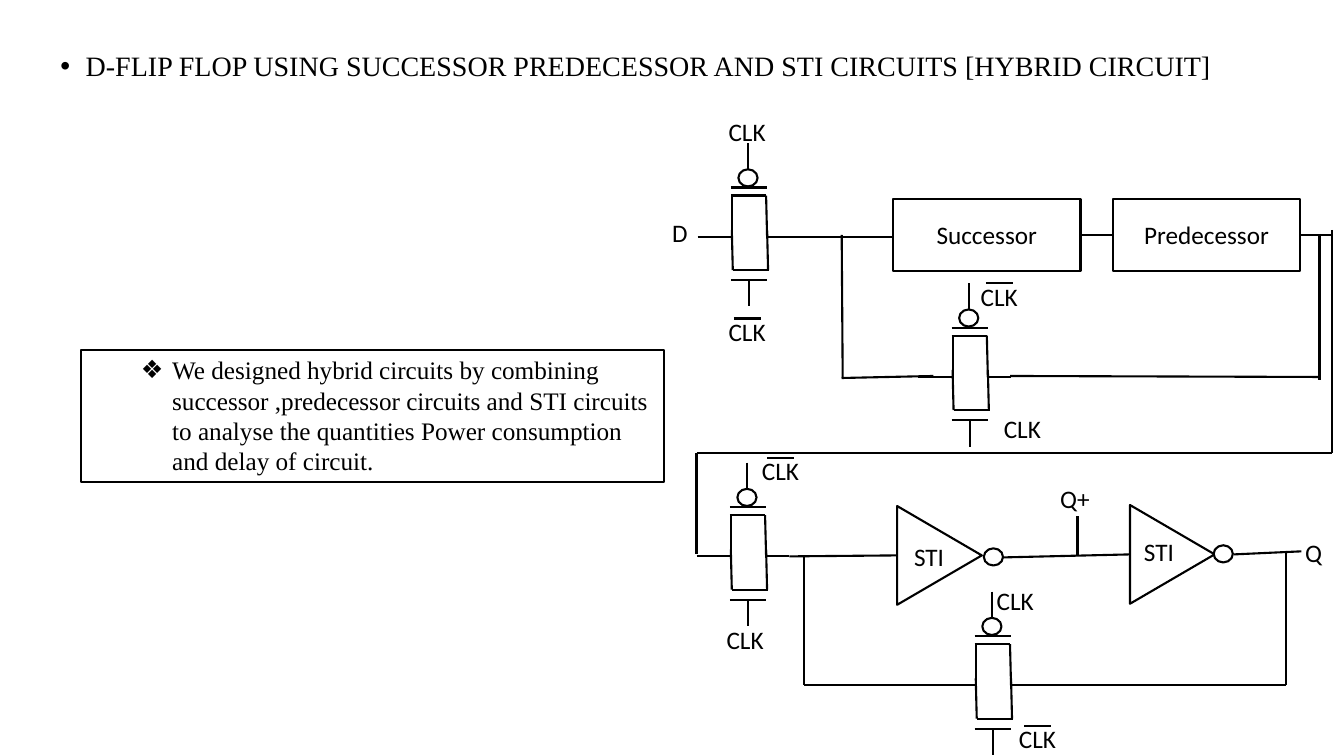
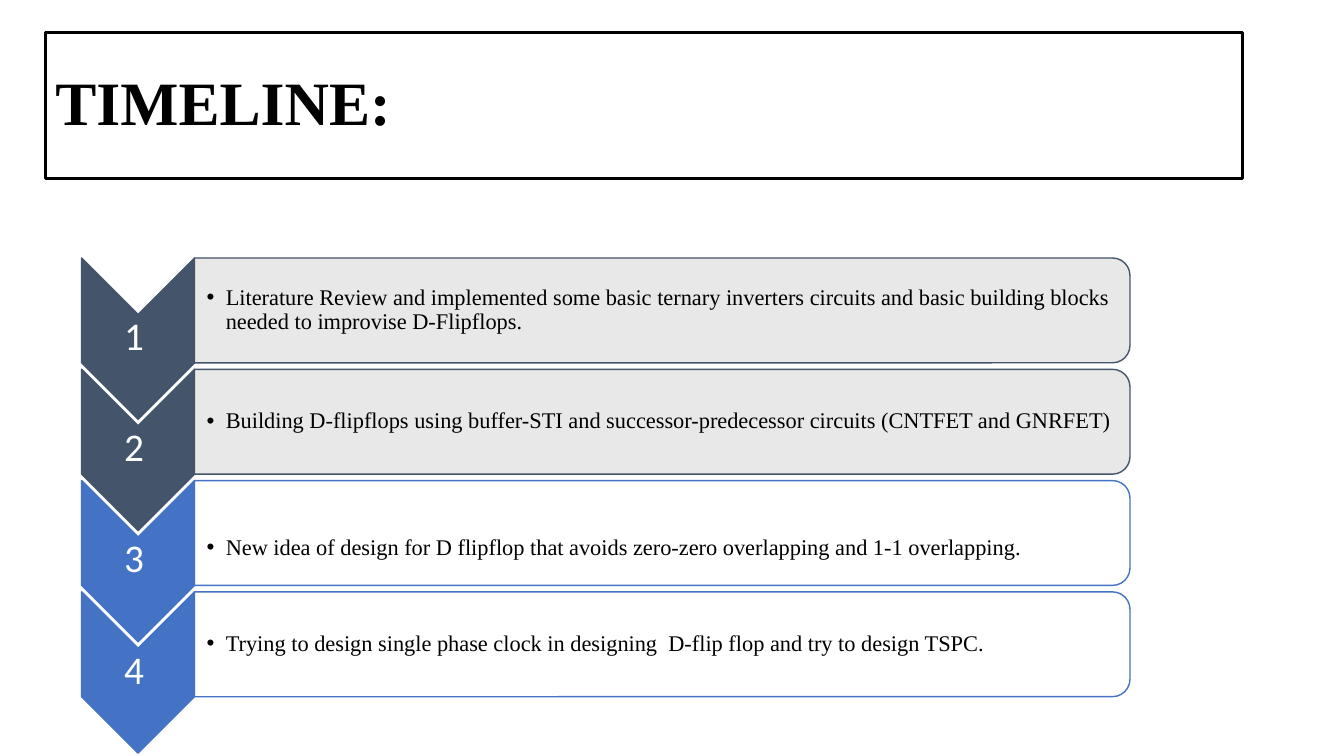
from dataclasses import dataclass

from lxml.etree import SubElement
from pptx import Presentation
from pptx.dml.color import RGBColor
from pptx.enum.shapes import MSO_CONNECTOR, MSO_SHAPE
from pptx.enum.text import MSO_ANCHOR, MSO_AUTO_SIZE, PP_ALIGN
from pptx.oxml.ns import qn
from pptx.util import Inches, Pt


@dataclass(frozen=True)
class Theme:
    ink: str = "000000"
    paper: str = "FFFFFF"
    done_dark: str = "44546A"
    done_light: str = "E7E6E6"
    planned: str = "4472C4"
    serif: str = "Times New Roman"
    sans: str = "Calibri"
    title_size: int = 44
    number_size: int = 28
    heading_size: int = 20
    label_size: int = 18
    step_size: int = 16
    wire: float = 1.5
    title_border: float = 2.25
    step_border: float = 1


THEME = Theme()

# The grid: ten columns and ten rows to the inch
COLUMNS, ROWS = 133.33, 75

# Transmission gate: line ends measured from the left end of its upper bar
GATE_LINES = [
    (0, 0, 3.6, 0), (0, 9.2, 3.6, 9.2),  # bars
    (0, 0.8, 3.5, 0.8), (0.2, 8.2, 3.8, 8.2),  # body ends
    (0.1, 0.8, 0.1, 4.9), (0.1, 4.2, 0.2, 8.2),  # left side
    (3.5, 0.8, 3.6, 4.9), (3.6, 4.2, 3.7, 8.2),  # right side
    (-3.3, 4.9, 0, 4.9), (3.5, 4.9, 5.9, 4.9),  # leads
    (1.7, -4.4, 1.7, -1.8), (1.8, 9.2, 1.8, 11.8),  # clock stubs
]
GATES = [(72.5, 18.6), (94.4, 32.5), (72.4, 50.3), (96.7, 63.1)]

WIRES = [
    # Master stage and its feedback loop
    (78.3, 23.5, 88.6, 23.5), (107.1, 23.3, 110.4, 23.3),
    (129, 23.3, 132.1, 23.3), (130.9, 23.2, 130.9, 37.7),
    (100.2, 37.3, 130.8, 37.4), (83.5, 37.5, 92.6, 37.3),
    (83.5, 23.3, 83.6, 37.5),
    # Link between the stages
    (132.1, 22.8, 132.1, 44.9), (69.1, 44.9, 132.1, 44.9),
    (69.1, 44.9, 69.1, 55),
    # Slave stage and its feedback loop
    (78.3, 55.2, 89, 55.1), (99.5, 55.3, 112.1, 55),
    (122.4, 55, 129.1, 54.7), (106.9, 51.2, 106.9, 55.1),
    (127.6, 54.8, 127.6, 68), (102.6, 68, 127.6, 68),
    (79.8, 68, 93.4, 68), (79.8, 55.2, 79.8, 68),
]
BLOCKS = [("Successor", 88.6), ("Predecessor", 110.4)]
# Left and top of each triangle, then of its output bubble
INVERTERS = [((89, 50.2), (97.6, 54.4)), ((112.1, 50.1), (120.4, 54.1))]
CLOCKS = [(71.3, 11.1), (98.6, 40.5), (71.1, 61.4), (97.9, 57.6)]
INVERTED_CLOCKS = [(71.3, 30.9), (96.3, 27.4), (74.6, 44.7), (100.1, 71.3)]
SIGNALS = [("D", 65.7, 21.1), ("Q+", 104.2, 47.5), ("Q", 128.5, 52.8),
           ("STI", 89.7, 53.2), ("STI", 112.5, 52.7)]

# Step text, border colour, panel colour, rows the text sits below the middle
STEPS = [
    ("Literature Review and implemented some basic ternary inverters circuits "
     "and basic building blocks needed to improvise D-Flipflops.",
     THEME.done_dark, THEME.done_light, 0),
    ("Building D-flipflops using buffer-STI and successor-predecessor circuits "
     "(CNTFET and GNRFET)", THEME.done_dark, THEME.done_light, 0),
    ("New idea of design for D flipflop that avoids zero-zero overlapping "
     "and 1-1 overlapping.", THEME.planned, THEME.paper, 1.5),
    ("Trying to design single phase clock in designing  D-flip flop and try "
     "to design TSPC.", THEME.planned, THEME.paper, 0),
]
STEP_TOP, STEP_PITCH = 25.6, 11.04


def cells(*lengths):
    return [Inches(length / 10) for length in lengths]


def assign(target, formats):
    for attribute, value in formats.items():
        setattr(target, attribute, value)


def place(shape, at):
    assign(shape, dict(zip(("left", "top", "width", "height"), cells(*at))))


def set_outline(shape, color, width):
    shape.line.color.rgb = RGBColor.from_string(color)
    shape.line.width = Pt(width)


def set_bullet(paragraph, mark, indent):
    properties = paragraph._p.get_or_add_pPr()
    properties.set("marL", str(Inches(indent[0])))
    properties.set("indent", str(Inches(indent[1])))
    SubElement(properties, qn("a:buFont")).set("typeface", "Arial")
    SubElement(properties, qn("a:buChar")).set("char", mark)


def write(shape, text, size, font=THEME.sans, color=THEME.ink, bold=False,
          align=PP_ALIGN.LEFT, anchor=MSO_ANCHOR.TOP, spacing=1,
          margins=(0.1, 0.05, 0.1, 0.05), bullet=None):
    frame = shape.text_frame
    sides = ("margin_left", "margin_top", "margin_right", "margin_bottom")
    assign(frame, {"word_wrap": True, "auto_size": MSO_AUTO_SIZE.NONE,
                   "vertical_anchor": anchor,
                   **{side: Inches(m) for side, m in zip(sides, margins)}})
    paragraph = frame.paragraphs[0]
    if bullet:
        set_bullet(paragraph, *bullet)
    assign(paragraph, {"alignment": align, "line_spacing": spacing,
                       "space_before": Pt(0), "space_after": Pt(0)})
    run = paragraph.add_run()
    run.text = text
    assign(run.font, {"name": font, "size": Pt(size), "bold": bold})
    run.font.color.rgb = RGBColor.from_string(color)


def add_wire(shapes, ends):
    wire = shapes.add_connector(MSO_CONNECTOR.STRAIGHT, *cells(*ends))
    set_outline(wire, THEME.ink, THEME.wire)
    SubElement(wire._element.spPr, qn("a:effectLst"))


def add_figure(shapes, kind, at, fill=THEME.paper, line=THEME.ink,
               width=THEME.wire):
    figure = shapes.add_shape(kind, *cells(*at))
    figure.shadow.inherit = False
    if fill:
        figure.fill.solid()
        figure.fill.fore_color.rgb = RGBColor.from_string(fill)
    else:
        figure.fill.background()
    set_outline(figure, line, width)
    return figure


def add_turned(shapes, kind, at, **look):
    """Add a figure turned a quarter clockwise that covers the area given."""
    left, top, width, height = at
    shift = (width - height) / 2
    figure = add_figure(shapes, kind,
                        (left + shift, top - shift, height, width), **look)
    figure.rotation = 90
    return figure


def add_text(shapes, text, at, size, **look):
    write(shapes.add_textbox(*cells(*at)), text, size, **look)


def add_label(shapes, text, left, top):
    width = min(9, COLUMNS - left)
    add_text(shapes, text, (left, top, width, 3.7), THEME.label_size)


def add_bubble(shapes, left, top):
    add_figure(shapes, MSO_SHAPE.FLOWCHART_CONNECTOR, (left, top, 1.9, 1.7))


def add_gate(shapes, left, top):
    for x1, y1, x2, y2 in GATE_LINES:
        add_wire(shapes, (left + x1, top + y1, left + x2, top + y2))
    add_bubble(shapes, left + 0.75, top - 1.8)


def add_step(slide, number, text, border, panel, drop):
    shapes = slide.shapes.add_group_shape().shapes
    top = STEP_TOP + (number - 1) * STEP_PITCH
    look = {"line": border, "width": THEME.step_border}
    add_turned(shapes, MSO_SHAPE.CHEVRON, (8.1, top, 11.2, 16), fill=border,
               **look)
    add_text(shapes, str(number), (7.7, top + 5.5, 11.2, 4.8),
             THEME.number_size, color=THEME.paper, align=PP_ALIGN.CENTER,
             anchor=MSO_ANCHOR.MIDDLE, spacing=0.9, margins=(0.02,) * 4)
    card = add_turned(shapes, MSO_SHAPE.ROUND_2_SAME_RECTANGLE,
                      (19.3, top, 92.8, 10.4), fill=panel, **look)
    fill_color = next(card._element.spPr.iter(qn("a:srgbClr")))
    SubElement(fill_color, qn("a:alpha")).set("val", "90000")
    add_text(shapes, text, (19.3, top + 0.5 + drop, 92.3, 9.4),
             THEME.step_size, font=THEME.serif, anchor=MSO_ANCHOR.MIDDLE,
             spacing=0.9, margins=(0.12, 0.01, 0.01, 0.01),
             bullet=("•", (0.19, -0.19)))


def build_circuit(slide):
    shapes = slide.shapes
    # Heading
    shapes.title._element.getparent().remove(shapes.title._element)
    heading = slide.placeholders[1]
    place(heading, (5, 4.7, 123, 5))
    write(heading, "D-FLIP FLOP USING SUCCESSOR PREDECESSOR AND STI CIRCUITS "
          "[HYBRID CIRCUIT]", THEME.heading_size, font=THEME.serif,
          spacing=0.9, bullet=("•", (0.25, -0.25)))
    # Explanation
    note = add_figure(shapes, MSO_SHAPE.RECTANGLE, (8, 34.7, 57.9, 13.1),
                      fill=None)
    write(note, "We designed hybrid circuits by combining successor "
          ",predecessor circuits and STI circuits to analyse the quantities "
          "Power consumption and delay of circuit.", THEME.label_size,
          font=THEME.serif, bullet=("❖", (0.81, -0.31)))
    # Wiring and gates
    for ends in WIRES:
        add_wire(shapes, ends)
    for corner in GATES:
        add_gate(shapes, *corner)
    # Blocks and inverters
    for name, left in BLOCKS:
        block = add_figure(shapes, MSO_SHAPE.RECTANGLE,
                           (left, 19.7, 18.6, 7.2))
        write(block, name, THEME.label_size, align=PP_ALIGN.CENTER,
              anchor=MSO_ANCHOR.MIDDLE)
    for triangle, bubble in INVERTERS:
        add_turned(shapes, MSO_SHAPE.ISOSCELES_TRIANGLE,
                   (*triangle, 8.4, 9.8))
        add_bubble(shapes, *bubble)
    # Signal names
    for left, top in CLOCKS + INVERTED_CLOCKS:
        add_label(shapes, "CLK", left, top)
    for left, top in INVERTED_CLOCKS:
        add_wire(shapes, (left + 1.5, top + 0.7, left + 4.2, top + 0.7))
    for signal in SIGNALS:
        add_label(shapes, *signal)


def build_timeline(slide):
    # Title
    title = slide.shapes.title
    place(title, (4.5, 3.2, 118.8, 14.5))
    set_outline(title, THEME.ink, THEME.title_border)
    write(title, "TIMELINE:", THEME.title_size, font=THEME.serif, bold=True,
          anchor=MSO_ANCHOR.MIDDLE, spacing=0.9)
    # Steps
    for number, step in enumerate(STEPS, start=1):
        add_step(slide, number, *step)


def main():
    deck = Presentation()
    deck.slide_width, deck.slide_height = cells(COLUMNS, ROWS)
    body_layout, title_layout = deck.slide_layouts[1], deck.slide_layouts[5]
    build_circuit(deck.slides.add_slide(body_layout))
    build_timeline(deck.slides.add_slide(title_layout))
    deck.save("out.pptx")


if __name__ == "__main__":
    main()
